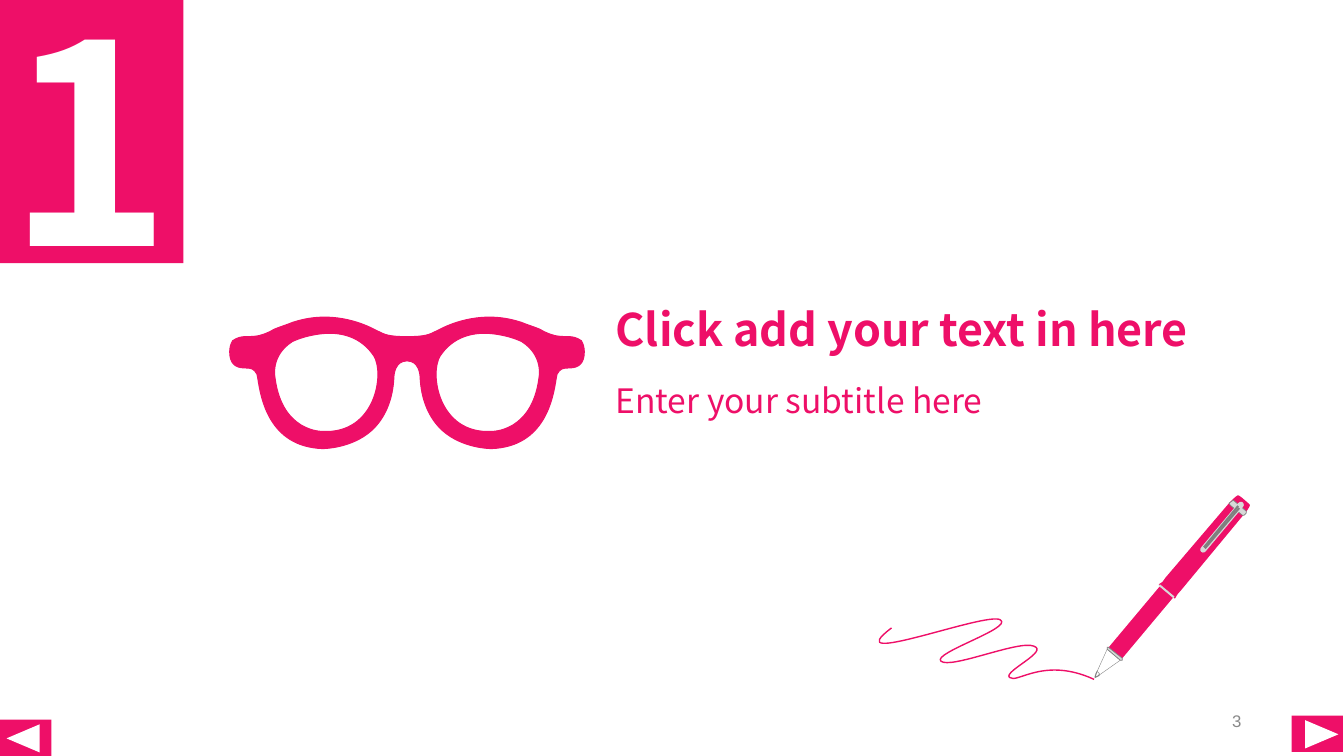
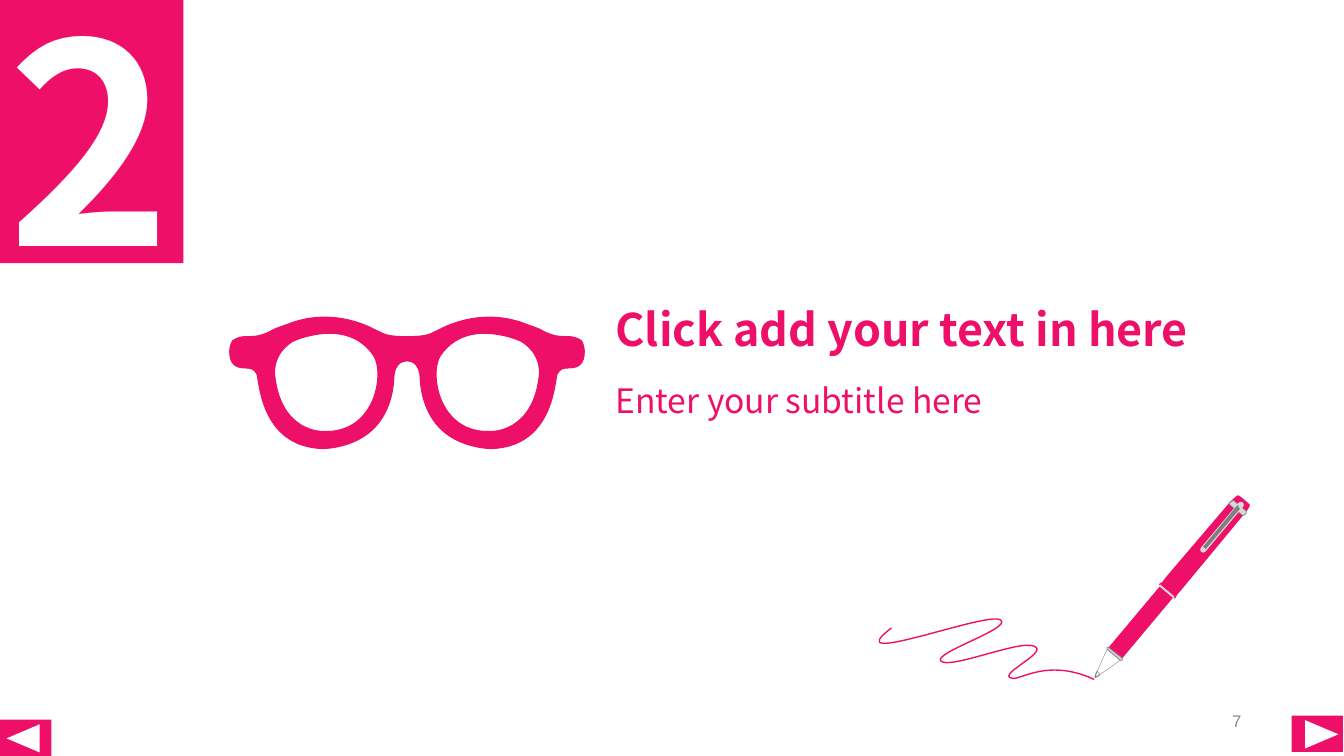
from dataclasses import dataclass
from math import cos, radians, sin

from lxml.etree import SubElement
from pptx import Presentation
from pptx.dml.color import RGBColor
from pptx.enum.shapes import MSO_CONNECTOR, MSO_SHAPE as Preset
from pptx.enum.text import MSO_ANCHOR as Anchor, MSO_AUTO_SIZE as AutoSize, PP_ALIGN as Align
from pptx.oxml.ns import qn
from pptx.util import Inches, Pt


@dataclass(frozen=True)
class Theme:
    pink: RGBColor = RGBColor.from_string("EE0F68")
    white: RGBColor = RGBColor.from_string("FFFFFF")
    silver: RGBColor = RGBColor.from_string("D8D8D8")
    grey: RGBColor = RGBColor.from_string("7F7F7F")
    number_grey: RGBColor = RGBColor.from_string("898989")
    font: str = "Noto Sans CJK SC"
    number_font: str = "Arial"
    digit_size: int = 199
    title_size: int = 32
    subtitle_size: int = 24
    number_size: int = 12


THEME = Theme()
WIDTH, HEIGHT = 13.34, 7.5

# Section digit, title, subtitle, page number
SECTIONS = [
    ("1", "Click add your text in here", "Enter your subtitle here", "3"),
    ("2", "Click add your text in here", "Enter your subtitle here", "7"),
]

# Button left, top and rotation, then arrow offset and rotation
BUTTON_SIZE = (0.51, 0.36)
ARROW_SIZE = (0.28, 0.33)
BUTTONS = [(0, HEIGHT - 0.36, 0, 0.09, 270), (WIDTH - 0.52, 7.1, 180, 0.16, 90)]

# Bezier chains: a start point, then two controls and an end for each curve
BRIDGE_X = 4.04
HALF_FRAME = [
    (4.04, 3.58),
    (4.16, 3.58), (4.17, 3.72), (4.17, 3.74),
    (4.18, 3.97), (4.26, 4.15), (4.39, 4.27),
    (4.59, 4.45), (4.87, 4.45), (4.88, 4.45),
    (5.41, 4.43), (5.49, 3.95), (5.52, 3.76),
    (5.52, 3.74), (5.53, 3.72), (5.53, 3.71),
    (5.56, 3.66), (5.58, 3.65), (5.65, 3.65),
    (5.75, 3.65), (5.80, 3.60), (5.80, 3.49),
    (5.80, 3.45), (5.79, 3.41), (5.77, 3.38),
    (5.73, 3.35), (5.68, 3.34), (5.65, 3.34),
    (5.52, 3.34), (5.49, 3.33), (5.40, 3.29),
    (5.36, 3.26), (5.28, 3.24), (5.18, 3.20),
    (4.80, 3.07), (4.48, 3.21), (4.38, 3.26),
    (4.36, 3.27), (4.34, 3.28), (4.32, 3.29),
    (4.26, 3.32), (4.22, 3.34), (4.04, 3.34),
]
LENS = [
    (4.88, 4.28),
    (4.35, 4.31), (4.26, 3.70), (4.37, 3.53),
    (4.49, 3.35), (4.68, 3.29), (4.88, 3.31),
    (5.07, 3.33), (5.18, 3.39), (5.18, 3.39),
    (5.40, 3.53), (5.35, 3.75), (5.35, 3.75),
    (5.28, 4.29), (4.88, 4.28), (4.88, 4.28),
]
SCRIBBLE = [
    (8.85, 6.23),
    (8.29, 6.65), (9.80, 6.06), (9.93, 6.15),
    (10.06, 6.23), (9.25, 6.48), (9.34, 6.56),
    (9.44, 6.64), (10.11, 6.35), (10.26, 6.41),
    (10.42, 6.46), (9.96, 6.66), (10.02, 6.72),
    (10.09, 6.79), (10.36, 6.51), (10.86, 6.74),
]
BARREL = [
    (12.29, 4.92),
    (12.30, 4.92), (12.39, 5.00), (12.40, 5.01),
    (12.40, 5.02), (12.37, 5.07), (12.34, 5.10),
    (11.71, 5.86), (11.71, 5.86), (11.71, 5.86),
    (11.68, 5.89), (11.67, 5.91), (11.66, 5.93),
    (11.51, 5.80), (11.51, 5.80), (11.51, 5.80),
    (11.54, 5.79), (11.55, 5.77), (11.57, 5.74),
    (12.21, 4.99), (12.21, 4.99), (12.21, 4.99),
    (12.24, 4.96), (12.28, 4.92), (12.29, 4.92),
]

# Straight pen outlines
NIB = [(10.88, 6.68), (10.89, 6.66), (10.94, 6.62), (10.96, 6.63),
       (10.91, 6.69), (10.91, 6.70), (10.87, 6.72), (10.87, 6.71)]
CONE = [(10.99, 6.44), (11.12, 6.55), (10.92, 6.69), (10.89, 6.66)]
COLLAR = [(10.99, 6.43), (10.99, 6.44), (11.12, 6.55), (11.14, 6.55),
          (11.14, 6.53), (11.00, 6.42), (10.99, 6.42)]
CLIP_BASE = [(12.20, 4.99), (12.21, 5.01), (12.33, 5.11), (12.35, 5.11),
             (12.37, 5.09), (12.37, 5.07), (12.24, 4.96), (12.23, 4.97)]
CLIP_GROOVES = [((11.96, 5.44), (12.30, 5.04)), ((11.95, 5.43), (12.29, 5.02))]
PEN_TILT, TIP_TILT = 310, 220


def paint(shape, fill=None, line=None, weight=0.75):
    shape.shadow.inherit = False
    if fill is None:
        shape.fill.background()
    else:
        shape.fill.solid()
        shape.fill.fore_color.rgb = fill
    if line is None:
        shape.line.fill.background()
    else:
        shape.line.color.rgb = line
        shape.line.width = Pt(weight)


def add_preset(shapes, preset, frame, fill, rotation=0, corner=None, **outline):
    shape = shapes.add_shape(preset, *map(Inches, frame))
    shape.rotation = rotation
    if corner is not None:
        shape.adjustments[0] = corner
    paint(shape, fill, **outline)


def add_outline(shapes, frame, contours, curved=False, closed=True, rotation=0, **look):
    """Draw contours, given as they lie on the slide, in a frame that may be turned."""
    left, top, width, height = frame
    builder = shapes.build_freeform(Inches(left), Inches(top), scale=1.0)
    builder.add_line_segments([(Inches(left + width), Inches(top + height))], close=False)
    shape = builder.convert_to_shape()
    shape.rotation = rotation
    paint(shape, **look)

    outline = next(shape._element.iter(qn("a:path")))
    for command in list(outline):
        outline.remove(command)
    cosine, sine = cos(radians(rotation)), sin(radians(rotation))

    def add_command(tag, points=()):
        command = SubElement(outline, qn(tag))
        for x, y in points:
            across, down = x - left - width / 2, y - top - height / 2
            local_x = across * cosine + down * sine + width / 2
            local_y = down * cosine - across * sine + height / 2
            SubElement(command, qn("a:pt"), x=str(Inches(local_x)), y=str(Inches(local_y)))

    tag, count = ("a:cubicBezTo", 3) if curved else ("a:lnTo", 1)
    for contour in contours:
        add_command("a:moveTo", contour[:1])
        for start in range(1, len(contour), count):
            add_command(tag, contour[start:start + count])
        if closed:
            add_command("a:close")


def mirror(chain):
    """Reflect a chain across the bridge, keeping its winding direction."""
    return [(2 * BRIDGE_X - x, y) for x, y in reversed(chain)]


def write(box, frame, text, size, color, font=THEME.font, bold=False,
          anchor=Anchor.MIDDLE, align=Align.LEFT, spacing=1.0):
    box.left, box.top, box.width, box.height = map(Inches, frame)
    body = box.text_frame
    body.word_wrap = True
    body.auto_size = AutoSize.NONE
    body.vertical_anchor = anchor
    para = body.paragraphs[0]
    para.alignment = align
    para.line_spacing = spacing
    para.space_before = Pt(0)
    span = para.add_run()
    span.text = text
    span.font.name = font
    span.font.size = Pt(size)
    span.font.bold = bold
    span.font.color.rgb = color


def add_buttons(shapes):
    for left, top, turn, offset, arrow_turn in BUTTONS:
        add_preset(shapes, Preset.RECTANGLE, (left, top, *BUTTON_SIZE), THEME.pink, turn)
        add_preset(shapes, Preset.ISOSCELES_TRIANGLE, (left + offset, top + 0.02, *ARROW_SIZE),
                   THEME.white, arrow_turn)


def add_glasses(shapes):
    rim = HALF_FRAME + mirror(HALF_FRAME)[1:]
    add_outline(shapes, (2.28, 3.07, 3.52, 1.38), [rim, LENS, mirror(LENS)], curved=True,
                fill=THEME.pink, line=THEME.pink)


def add_pen(shapes):
    pen = shapes.add_group_shape().shapes
    add_preset(pen, Preset.ROUNDED_RECTANGLE, (12.15, 4.97, 0.29, 0.11), THEME.white,
               PEN_TILT, 0.5)
    add_outline(pen, (10.89, 6.61, 0.03, 0.12), [NIB], rotation=TIP_TILT,
                fill=THEME.white, line=THEME.grey)
    add_preset(pen, Preset.ROUNDED_RECTANGLE, (10.92, 6.08, 0.81, 0.19), THEME.pink,
               PEN_TILT, 0.11, line=THEME.white, weight=1)
    add_outline(pen, (10.89, 6.46, 0.17, 0.24), [CONE], rotation=TIP_TILT,
                fill=THEME.white, line=THEME.grey, weight=0.25)
    add_outline(pen, (11.37, 5.31, 1.18, 0.19), [BARREL], curved=True, rotation=PEN_TILT,
                fill=THEME.pink, line=THEME.pink, weight=1)
    add_preset(pen, Preset.RECTANGLE, (11.57, 5.77, 0.02, 0.19), THEME.silver, PEN_TILT)
    for frame, points in [((11.05, 6.39, 0.02, 0.19), COLLAR),
                          ((12.26, 4.95, 0.06, 0.19), CLIP_BASE)]:
        add_outline(pen, frame, [points], rotation=PEN_TILT,
                    fill=THEME.silver, line=THEME.grey, weight=0.5)
    add_preset(pen, Preset.ROUNDED_RECTANGLE, (11.81, 5.2, 0.64, 0.06), THEME.silver,
               PEN_TILT, 0.5)
    for start, end in CLIP_GROOVES:
        groove = pen.add_connector(MSO_CONNECTOR.STRAIGHT, *map(Inches, start + end))
        groove.line.color.rgb = THEME.grey
        groove.line.width = Pt(1.5)
        SubElement(groove._element.spPr, qn("a:effectLst"))


def add_section(deck, digit, title, subtitle, number):
    page = deck.slides.add_slide(deck.slide_layouts[0])
    shapes = page.shapes
    write(shapes.title, (6.01, 2.95, 6, 0.68), title, THEME.title_size, THEME.pink,
          bold=True, spacing=0.9)
    write(page.placeholders[1], (6.01, 3.76, 6.11, 0.42), subtitle,
          THEME.subtitle_size, THEME.pink)
    add_buttons(shapes)
    add_preset(shapes, Preset.RECTANGLE, (6.12, 3.73, 5.43, 0.03), THEME.white)
    add_glasses(shapes)
    add_pen(shapes)
    add_outline(shapes, (8.73, 6.14, 2.14, 0.6), [SCRIBBLE], curved=True, closed=False,
                line=THEME.pink, weight=1)
    add_preset(shapes, Preset.RECTANGLE, (0, 0, 1.82, 2.61), THEME.pink)
    write(shapes.add_textbox(0, 0, 0, 0), (-0.02, -0.37, 3.68, 3.42), digit,
          THEME.digit_size, THEME.white, bold=True, anchor=Anchor.TOP)
    write(shapes.add_textbox(0, 0, 0, 0), (9.42, 6.95, 3, 0.4), number,
          THEME.number_size, THEME.number_grey, THEME.number_font, align=Align.RIGHT)


def main():
    deck = Presentation()
    deck.slide_width, deck.slide_height = Inches(WIDTH), Inches(HEIGHT)
    for section in SECTIONS:
        add_section(deck, *section)
    deck.save("out.pptx")


if __name__ == "__main__":
    main()
